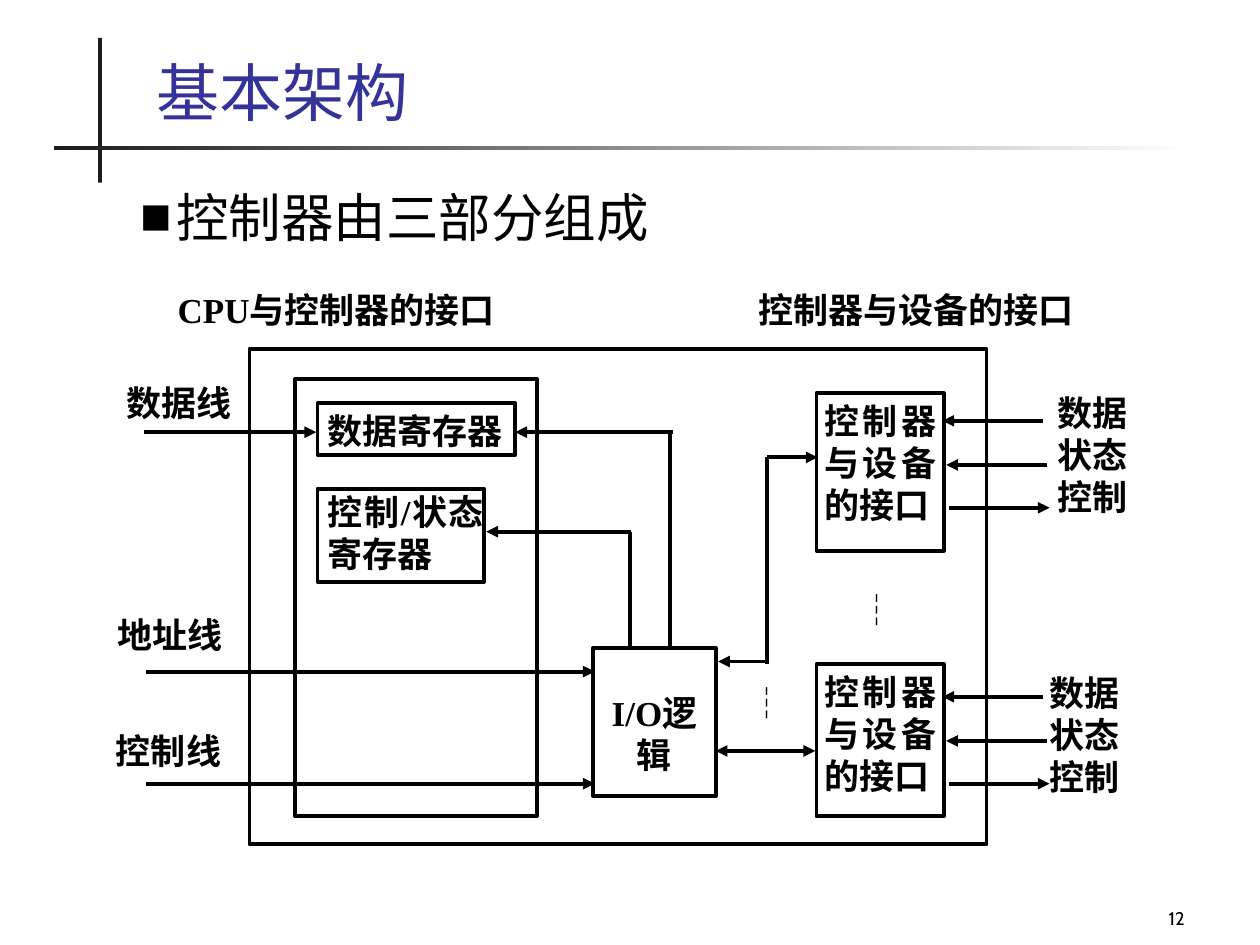
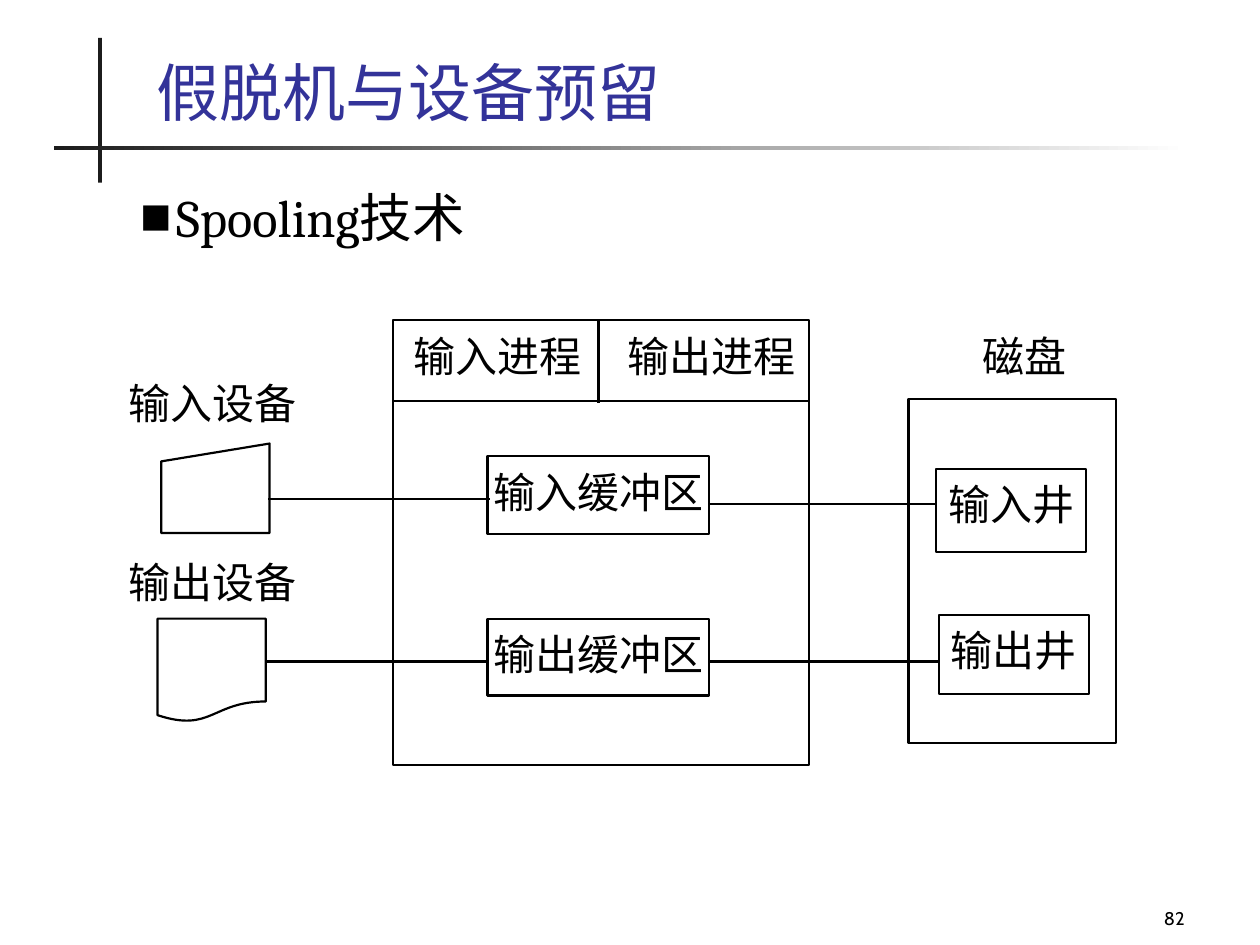
from lxml.etree import SubElement as Sub
from pptx import Presentation
from pptx.dml.color import RGBColor
from pptx.enum.shapes import MSO_CONNECTOR as Conn, MSO_SHAPE as Shape
from pptx.enum.text import MSO_ANCHOR as Anchor, PP_ALIGN as Align
from pptx.oxml.ns import qn
from pptx.util import Inches, Pt

BLACK = RGBColor(0x00, 0x00, 0x00)
WHITE = RGBColor(0xFF, 0xFF, 0xFF)
DARK = RGBColor(0x1C, 0x1C, 0x1C)
BLUE = RGBColor(0x33, 0x33, 0x99)
ROMAN, SERIF, SANS, HAN = "Times New Roman", "Cambria", "Cabin", "Noto Sans CJK SC"
RECT = Shape.RECTANGLE
NONE = (0, 0, 0, 0)
PAD = (0.1, 0.05, 0.1, 0.05)


def put(slide, at, text="", size=20, kind=None, line=2.25, font=ROMAN, color=BLACK,
        bold=False, align=Align.JUSTIFY, anchor=Anchor.TOP, inset=NONE):
    """Add a preset shape, or a text box if kind is None, with its lines of text."""
    spot = [Inches(n) for n in at]
    if kind is None:
        shape = slide.shapes.add_textbox(*spot)
    else:
        shape = slide.shapes.add_shape(kind, *spot)
        shape.shadow.inherit = False
        shape.fill.solid()
        shape.fill.fore_color.rgb = WHITE
        shape.line.color.rgb = BLACK
        shape.line.width = Pt(line)
    if not text:
        return shape
    frame = shape.text_frame
    frame.word_wrap = True
    frame.vertical_anchor = anchor
    frame.margin_left, frame.margin_top, frame.margin_right, frame.margin_bottom = map(
        Inches, inset)
    for i, words in enumerate(text.split("\n")):
        para = frame.add_paragraph() if i else frame.paragraphs[0]
        para.alignment = align
        run = para.add_run()
        run.text = words
        run.font.size = Pt(size)
        run.font.bold = bold
        run.font.color.rgb = color
        run.font.name = font
        Sub(run.font._element, qn("a:ea"), typeface=HAN)
    return shape


def link(slide, x1, y1, x2, y2, width=2.25, ends=()):
    """Add a straight line; ends lists which of headEnd and tailEnd get an arrowhead."""
    conn = slide.shapes.add_connector(Conn.STRAIGHT, *map(Inches, (x1, y1, x2, y2)))
    conn.line.color.rgb = BLACK
    conn.line.width = Pt(width)
    props = conn._element.spPr
    for end in ends:
        Sub(props.find(qn("a:ln")), qn("a:" + end), type="triangle")
    Sub(props, qn("a:effectLst"))


deck = Presentation()
deck.slide_width, deck.slide_height = Inches(10), Inches(7.5)

# Frame shared by both slides
pages = []
for title, point, number in [("基本架构", "控制器由三部分组成", "12"),
                             ("假脱机与设备预留", "Spooling技术", "82")]:
    page = deck.slides.add_slide(deck.slide_layouts[6])
    pages.append(page)
    post = put(page, (0.78, 0.3, 0.03, 1.15), kind=RECT)
    post.fill.fore_color.rgb = DARK
    rule = put(page, (0.43, 1.16, 9, 0.03), kind=RECT)
    rule.fill.gradient()
    rule.fill.gradient_angle = 0
    for stop, color in zip(rule.fill.gradient_stops, (DARK, WHITE)):
        stop.color.rgb = color
    for bar in (post, rule):
        bar.line.fill.background()
    put(page, (1.14, 0.25, 8.59, 0.82), title, 36, font=SERIF, color=BLUE,
        align=Align.LEFT, anchor=Anchor.BOTTOM, inset=PAD)
    body = put(page, (1.02, 1.35, 8.5, 5.35), point, 30, font=SERIF,
               align=Align.LEFT, inset=PAD)
    para = body.text_frame.paragraphs[0]
    para.line_spacing = 1.14
    props = para._element.get_or_add_pPr()
    props.set("marL", str(Inches(0.28)))
    props.set("indent", str(Inches(-0.28)))
    Sub(Sub(props, qn("a:buClr")), qn("a:srgbClr"), val=str(BLACK))
    Sub(props, qn("a:buSzPct"), val="60000")
    Sub(props, qn("a:buFont"), typeface=HAN)
    Sub(props, qn("a:buChar"), char="■")
    put(page, (7.42, 6.92, 2.08, 0.5), number, 10.5, font=SANS,
        align=Align.RIGHT, anchor=Anchor.BOTTOM, inset=PAD)

arch, spool = pages

# Controller architecture
for at in [(1.98, 2.77, 5.85, 3.93), (2.34, 3.01, 1.92, 3.47)]:
    put(arch, at, kind=RECT)
for at, text, inset in [
    ((2.52, 3.2, 1.57, 0.41), "数据寄存器", (0.08, 0.05, 0, 0.01)),
    ((2.52, 3.88, 1.32, 0.74), "控制/状态寄存器", (0.08, 0.01, 0, 0.01)),
    ((6.48, 3.12, 1.01, 1.25), "控制器与设备的接口", (0.06, 0.05, 0.06, 0.05)),
    ((6.48, 5.27, 1.01, 1.21), "控制器与设备的接口", (0.06, 0.05, 0.06, 0.05)),
]:
    put(arch, at, text, kind=RECT, bold=True, inset=inset)
put(arch, (4.71, 5.14, 0.97, 1.18), "I/O逻辑", kind=RECT, bold=True,
    align=Align.CENTER, inset=(0.02, 0.35, 0.02, 0.01))

for at, text in [
    ((1.41, 2.29, 2.7, 0.34), "CPU与控制器的接口"),
    ((6.02, 2.29, 2.58, 0.32), "控制器与设备的接口"),
    ((1, 3.03, 1.01, 0.34), "数据线"),
    ((0.93, 4.87, 0.86, 0.37), "地址线"),
    ((0.92, 5.79, 1.01, 0.39), "控制线"),
    ((8.39, 3.11, 0.62, 1.08), "数据\n状态\n控制"),
    ((8.33, 5.33, 0.65, 1.03), "数据\n状态\n控制"),
]:
    put(arch, at, text, bold=True)
for at in [(6.72, 4.62, 0.45, 0.48), (5.85, 5.36, 0.5, 0.48)]:
    put(arch, at, "┆", font=HAN, inset=PAD)

# Device signals: data and status come in, control goes out
for top in (3.34, 5.53):
    for x1, x2, drop in [(8.28, 7.48, 0), (8.31, 7.51, 0.35), (7.53, 8.33, 0.69)]:
        link(arch, x1, top + drop, x2, top + drop, ends=["tailEnd"])
for ray in [
    (1.14, 3.43, 2.51, 3.43), (1.16, 5.33, 4.72, 5.33), (1.16, 6.22, 4.72, 6.22),
    (5.01, 4.22, 3.86, 4.22), (5.34, 3.43, 4.09, 3.43),
    (6.09, 3.63, 6.49, 3.63), (6.1, 5.25, 5.7, 5.25),
]:
    link(arch, *ray, ends=["tailEnd"])
for stem in [(5, 4.22, 5, 5.14), (5.32, 5.14, 5.32, 3.43), (6.09, 3.63, 6.09, 5.27)]:
    link(arch, *stem)
link(arch, 6.47, 5.96, 5.68, 5.96, ends=["headEnd", "tailEnd"])

# Spooling
THIN = 1.25
for at, kind in [
    ((3.12, 2.54, 3.3, 3.53), RECT),
    ((7.21, 3.17, 1.65, 2.73), RECT),
    ((1.28, 3.52, 0.86, 0.71), Shape.FLOWCHART_MANUAL_INPUT),
    ((1.25, 4.91, 0.86, 0.82), Shape.FLOWCHART_DOCUMENT),
]:
    put(spool, at, kind=kind, line=THIN)
for at, text in [
    ((3.87, 3.62, 1.76, 0.62), "输入缓冲区"),
    ((3.87, 4.91, 1.76, 0.61), "输出缓冲区"),
    ((7.43, 3.72, 1.19, 0.66), "输入井"),
    ((7.45, 4.88, 1.19, 0.63), "输出井"),
]:
    put(spool, at, text, 24, RECT, THIN, align=Align.CENTER, inset=(0, 0.08, 0, 0))
for at, text in [
    ((3.28, 2.62, 1.4, 0.5), "输入进程"),
    ((4.98, 2.62, 1.4, 0.5), "输出进程"),
    ((1.02, 3, 1.36, 0.46), "输入设备"),
    ((1.02, 4.42, 1.36, 0.51), "输出设备"),
    ((7.8, 2.62, 0.97, 0.51), "磁盘"),
]:
    put(spool, at, text, 24)
for wire in [
    (3.12, 3.18, 6.42, 3.18), (4.75, 2.54, 4.75, 3.2),
    (2.13, 3.96, 3.89, 3.96), (2.11, 5.25, 3.87, 5.25),
    (5.63, 4, 7.44, 4), (5.63, 5.25, 7.45, 5.25),
]:
    link(spool, *wire, width=THIN)

deck.save("out.pptx")
